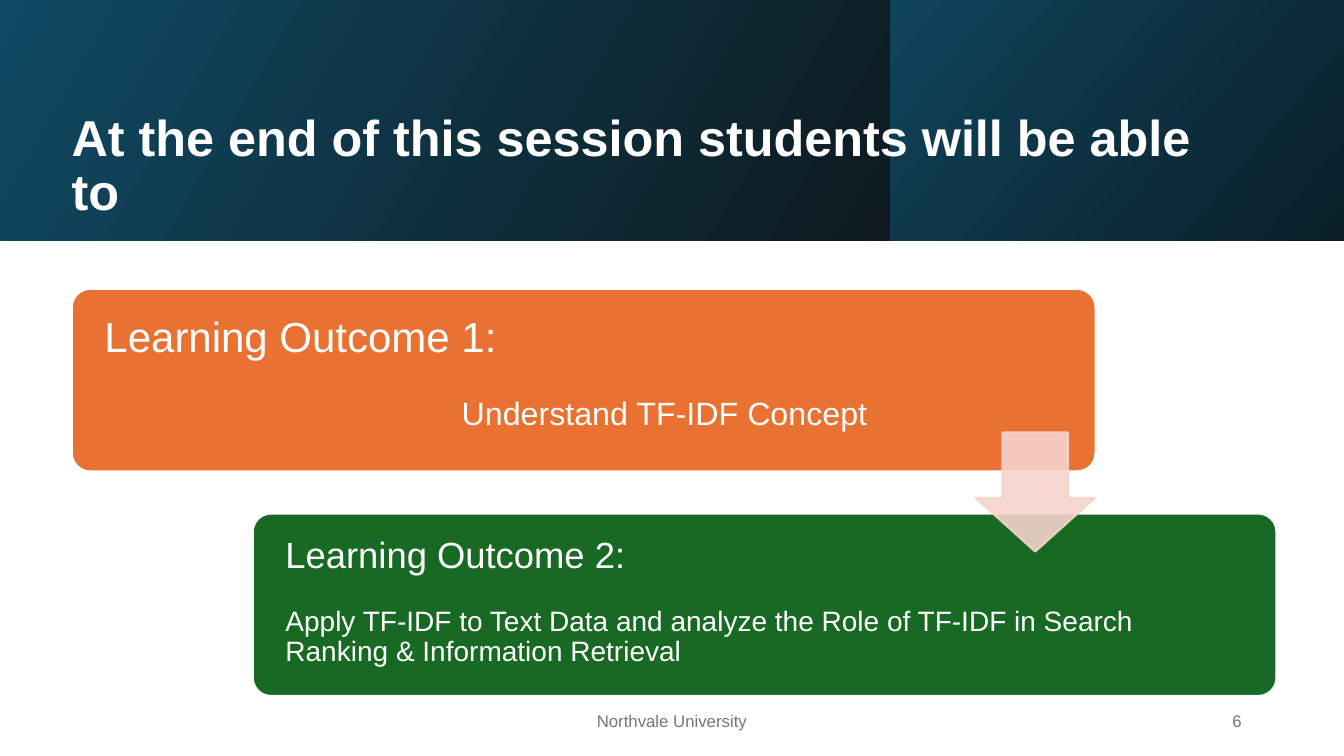
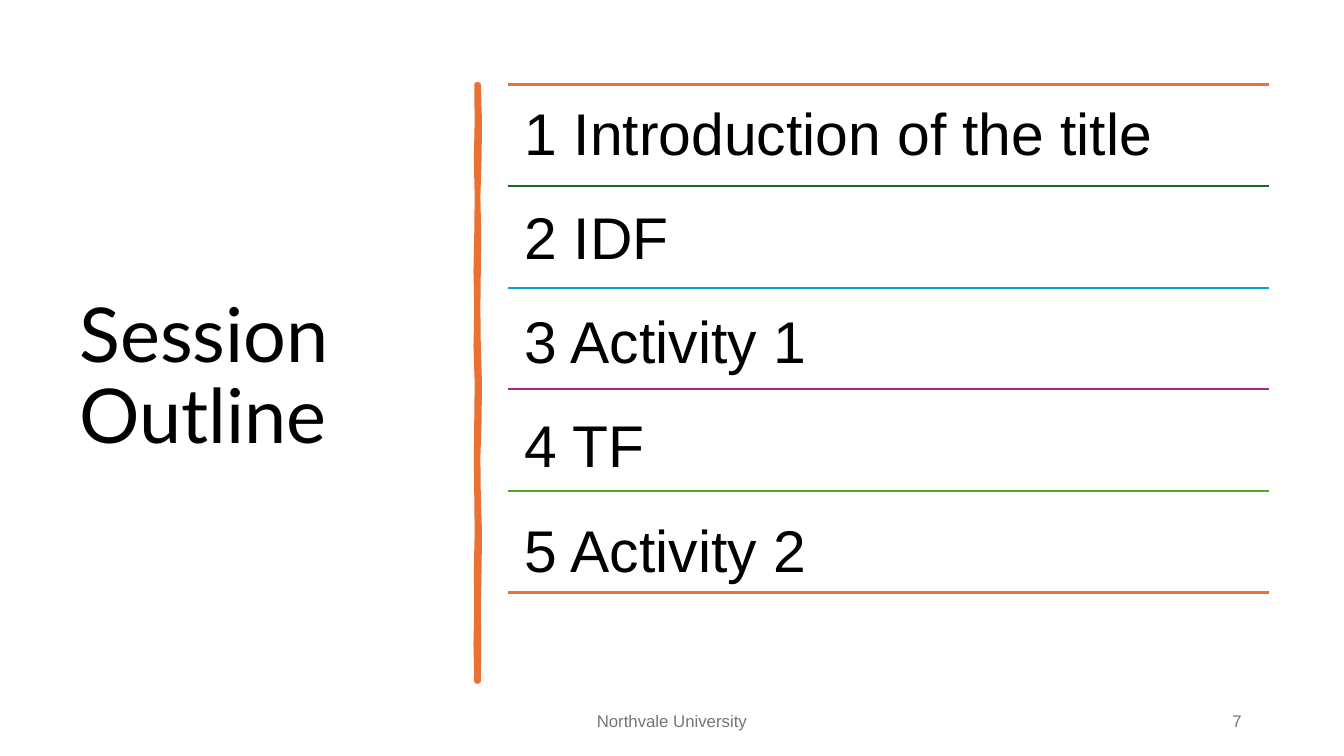
from lxml.etree import SubElement
from pptx import Presentation
from pptx.dml.color import RGBColor
from pptx.enum.shapes import MSO_CONNECTOR, MSO_SHAPE
from pptx.enum.text import MSO_ANCHOR, MSO_AUTO_SIZE, PP_ALIGN
from pptx.oxml.ns import qn
from pptx.util import Cm, Pt

COLORS = {
    "white": "FFFFFF", "black": "000000", "grey": "757575",
    "orange": "E97132", "forest": "186923", "blue": "0C9ED5",
    "purple": "A02891", "green": "4EA62C", "blush": "F6D4CC",
    "teal": "0F4A63", "night": "0E1A20", "petrol": "10445A", "deep": "0A1F2A",
}
FOOTER = "Northvale University"
TITLE_ONLY, TITLE_AND_BODY = 5, 1


def rgb(name):
    return RGBColor.from_string(COLORS[name])


class Deck:
    """Shared style plus the slide being built."""

    font = "Arial"
    width, height = 33.87, 19.05

    def __init__(self):
        self.presentation = Presentation()
        self.presentation.slide_width = Cm(self.width)
        self.presentation.slide_height = Cm(self.height)
        self.slide = None

    # Slide with its footer line
    def add_slide(self, layout, number):
        layouts = self.presentation.slide_layouts
        self.slide = self.presentation.slides.add_slide(layouts[layout])
        self.footer(FOOTER, 11.22, 11.43, PP_ALIGN.CENTER)
        self.footer(str(number), 23.92, 7.62, PP_ALIGN.RIGHT)

    def footer(self, text, left, width, align):
        box = self.slide.shapes.add_textbox(Cm(left), Cm(17.65), Cm(width), Cm(1.02))
        frame = box.text_frame
        frame.word_wrap = True
        frame.vertical_anchor = MSO_ANCHOR.MIDDLE
        self.add_text(frame.paragraphs[0], text, 12, "grey", align=align, spacing=1)

    # Text
    def add_text(self, paragraph, text, size, color, font=None, bold=False,
                 align=PP_ALIGN.LEFT, before=0, spacing=0.9):
        paragraph.alignment = align
        paragraph.line_spacing = spacing
        paragraph.space_before = Pt(before)
        run = paragraph.add_run()
        run.text = text
        run.font.name = font or self.font
        run.font.size = Pt(size)
        run.font.bold = bold
        run.font.color.rgb = rgb(color)

    def indent(self, paragraph, left):
        properties = paragraph._p.get_or_add_pPr()
        properties.set("marL", str(Cm(left)))
        properties.set("indent", "0")
        return properties

    def place(self, shape, left, top, width, height):
        shape.left, shape.top = Cm(left), Cm(top)
        shape.width, shape.height = Cm(width), Cm(height)

    def title(self, text, box, size, color, font=None, bold=False):
        shape = self.slide.shapes.title
        self.place(shape, *box)
        frame = shape.text_frame
        frame.auto_size = MSO_AUTO_SIZE.NONE
        frame.vertical_anchor = MSO_ANCHOR.MIDDLE
        self.add_text(frame.paragraphs[0], text, size, color, font, bold)

    # Shapes
    def shape(self, kind, left, top, width, height, fill=None, line=None):
        shape = self.slide.shapes.add_shape(
            kind, Cm(left), Cm(top), Cm(width), Cm(height))
        self.paint(shape, fill, line)
        return shape

    def paint(self, shape, fill, line, weight=1.5):
        shape.shadow.inherit = False
        if fill:
            shape.fill.solid()
            shape.fill.fore_color.rgb = rgb(fill)
        if line:
            shape.line.color.rgb = rgb(line)
            shape.line.width = Pt(weight)
        else:
            shape.line.fill.background()

    def band(self, left, width, height, start, end, angle):
        band = self.shape(MSO_SHAPE.RECTANGLE, left, 0, width, height)
        band.fill.gradient()
        band.fill.gradient_angle = angle
        for stop, color in zip(band.fill.gradient_stops, (start, end)):
            stop.color.rgb = rgb(color)
        return band

    def header(self, height=6.05, split=22.43):
        bands = [self.band(0, split, height, "teal", "night", 330),
                 self.band(split, self.width - split, height, "petrol", "deep", 320)]
        tree = self.slide.shapes.title.element.getparent()
        for band in reversed(bands):  # behind the title
            tree.insert(2, band.element)

    def card(self, left, top, fill, top_inset, heading, body):
        card = self.shape(MSO_SHAPE.ROUNDED_RECTANGLE, left, top, 25.8, 4.6, fill, "white")
        card.adjustments[0] = 0.1
        frame = card.text_frame
        frame.word_wrap = True
        frame.vertical_anchor = MSO_ANCHOR.TOP
        frame.margin_left, frame.margin_right = Cm(0.69), Cm(0.85)
        frame.margin_top, frame.margin_bottom = Cm(top_inset), Cm(0)
        text, size = heading
        self.add_text(frame.paragraphs[0], text, size, "white")
        text, size, before, left_indent = body
        paragraph = frame.add_paragraph()
        self.add_text(paragraph, text, size, "white", before=before)
        self.indent(paragraph, left_indent)

    def down_arrow(self, left, top, size, color, opacity):
        arrow = self.shape(MSO_SHAPE.DOWN_ARROW, left, top, size, size, color, color)
        arrow.adjustments[0], arrow.adjustments[1] = 0.55, 0.45
        for tint in arrow.element.iter(qn("a:srgbClr")):
            SubElement(tint, qn("a:alpha")).set("val", str(opacity * 1000))

    def rule(self, left, right, top, color):
        rule = self.slide.shapes.add_connector(
            MSO_CONNECTOR.STRAIGHT, Cm(left), Cm(top), Cm(right), Cm(top))
        rule.line.color.rgb = rgb(color)
        rule.line.width = Pt(1.5)
        SubElement(rule.element.spPr, qn("a:effectLst"))

    def brush_stroke(self, left, top, height, left_edge, right_edge, color):
        """Upright stroke; the edges are offsets in hundredths of a cm."""
        step = height * 100 / (len(left_edge) - 1)
        down = [(left * 100 + x, top * 100 + row * step)
                for row, x in enumerate(right_edge)]
        up = [(left * 100 + x, top * 100 + row * step)
              for row, x in enumerate(left_edge)][::-1]
        builder = self.slide.shapes.build_freeform(*down[0], scale=Cm(0.01))
        builder.add_line_segments(down[1:] + up, close=True)
        self.paint(builder.convert_to_shape(), color, color, 3.25)

    # List ruled off above each item and below the last
    def ruled_list(self, items, left, top, width, row_height, rule_colors, size=42):
        body = self.slide.placeholders[1]
        self.place(body, left, top, width, row_height * len(items))
        frame = body.text_frame
        frame.auto_size = MSO_AUTO_SIZE.NONE
        frame.vertical_anchor = MSO_ANCHOR.TOP
        frame.margin_left = frame.margin_right = Cm(0.43)
        frame.margin_top = Cm(0.5)
        gap = Cm(row_height).pt - size * 1.15 * 0.9
        for row, item in enumerate(items):
            paragraph = frame.add_paragraph() if row else frame.paragraphs[0]
            self.add_text(paragraph, item, size, "black", before=round(gap, 1) if row else 0)
            SubElement(self.indent(paragraph, 0), qn("a:buNone"))
        for row, color in enumerate(rule_colors):
            self.rule(left, left + width, top + row * row_height, color)


def main():
    deck = Deck()

    # Learning outcomes
    deck.add_slide(TITLE_ONLY, 6)
    deck.header()
    deck.title("At the end of this session students will be able to",
               (1.55, 3.07, 29.29, 2.29), 36, "white", bold=True)
    deck.card(1.81, 7.28, "orange", 0.55, ("Learning Outcome 1:", 30),
              ("Understand TF-IDF Concept", 23, 26, 9))
    deck.card(6.37, 12.94, "forest", 0.46, ("Learning Outcome 2:", 26),
              ("Apply TF-IDF to Text Data and analyze the Role of TF-IDF in "
               "Search Ranking & Information Retrieval", 20, 22, 0))
    deck.down_arrow(24.59, 10.9, 3, "blush", 89)

    # Session outline
    deck.add_slide(TITLE_AND_BODY, 7)
    deck.title("Session Outline", (1.75, 1.78, 9.5, 15.52), 54, "black", "Lato")
    deck.brush_stroke(12, 2.13, 15.04,
                      [1, 2, 0, 2, 1, -1, 1, -1, 2, 1, 0, 1, 2, 0, 1, -1, 1],
                      [6, 9, 8, 5, 7, 6, 5, 6, 9, 8, 5, 6, 9, 8, 6, 7, 6], "orange")
    deck.ruled_list(
        ["1 Introduction of the title", "2 IDF", "3 Activity 1", "4 TF", "5 Activity 2"],
        12.8, 2.13, 19.18, 2.56,
        ["orange", "forest", "blue", "purple", "green", "orange"])

    deck.presentation.save("out.pptx")


if __name__ == "__main__":
    main()
